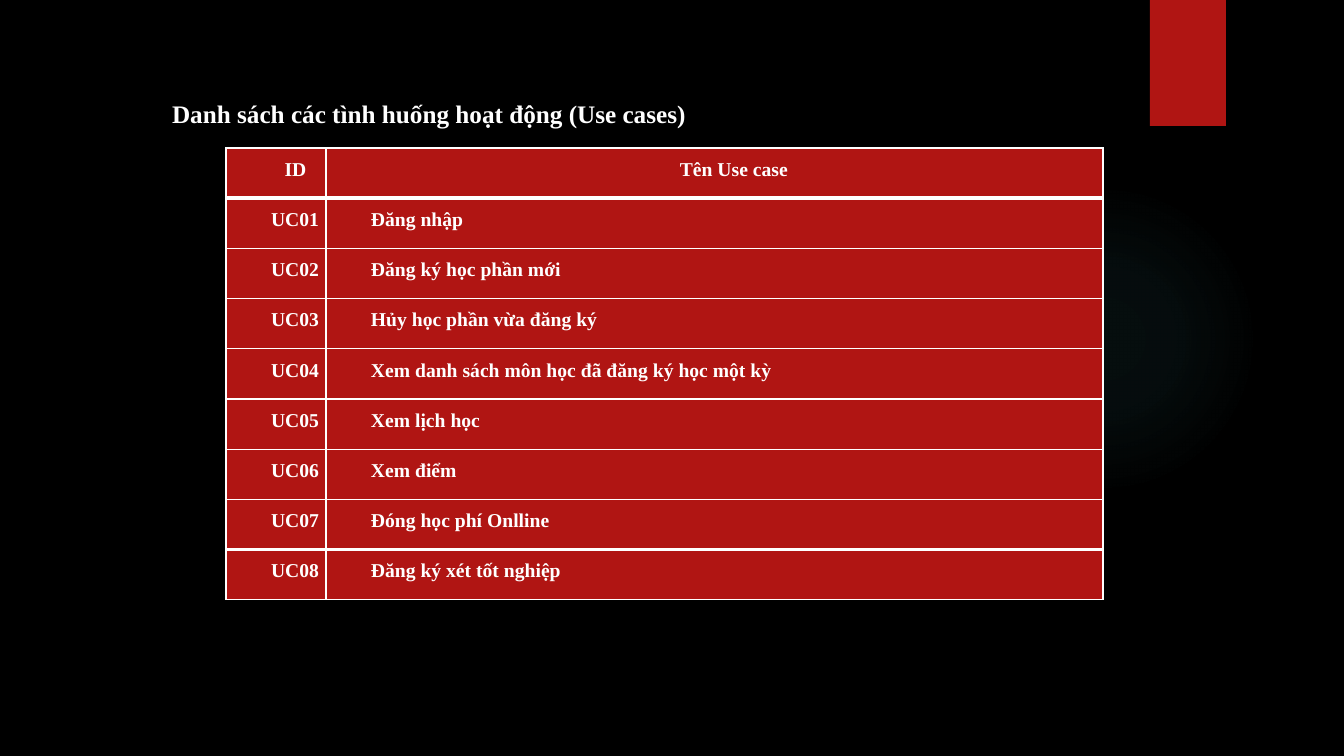
from lxml.etree import SubElement
from pptx import Presentation
from pptx.dml.color import RGBColor
from pptx.enum.shapes import MSO_SHAPE
from pptx.enum.text import MSO_ANCHOR, PP_ALIGN
from pptx.oxml import parse_xml
from pptx.oxml.ns import nsdecls, qn
from pptx.util import Pt

# Content
TITLE = "Danh sách các tình huống hoạt động (Use cases)"
HEADER = ("ID", "Tên Use case")
USE_CASES = [
    "Đăng nhập",
    "Đăng ký học phần mới",
    "Hủy học phần vừa đăng ký",
    "Xem danh sách môn học đã đăng ký học một kỳ",
    "Xem lịch học",
    "Xem điểm",
    "Đóng học phí Onlline",
    "Đăng ký xét tốt nghiệp",
]
ROWS = [HEADER] + [(f"UC{n:02}", name) for n, name in enumerate(USE_CASES, 1)]

# Format
BLACK = RGBColor(0x00, 0x00, 0x00)
WHITE = RGBColor(0xFF, 0xFF, 0xFF)
RED = RGBColor(0xB0, 0x15, 0x13)
TEAL = RGBColor(0x50, 0xB9, 0xC1)
FONT = {"name": "Times New Roman", "bold": True}
TITLE_PARA = {"alignment": PP_ALIGN.LEFT, "line_spacing": 1.5}
CELL_PARA = {"line_spacing": 1.5, "space_before": Pt(3), "space_after": Pt(6)}
GLOW_STOPS = [(0, 7), (36, 6), (69, 0)]  # position %, opacity %
THIN, THICK = Pt(1), Pt(3)

# Layout in px
SLIDE_W, SLIDE_H = 1344, 756
GLOW = (949, 184, 310, 310)
TAB = (1150, 0, 76, 126)
TITLE_BOX = (61, 78, 672, 50)
TITLE_INDENT = 101
TABLE = (226, 148, 877, 452)
COLS = (100, 777)
CELL_INDENT, CELL_MARGIN = 39, 6


def px(n):
    return round(n * 914400 / 100.8)


def set_attrs(obj, values):
    for name, value in values.items():
        setattr(obj, name, value)


def write(p, text, size, para):
    set_attrs(p, para)
    r = p.add_run()
    r.text = text
    set_attrs(r.font, {**FONT, "size": Pt(size)})
    r.font.color.rgb = WHITE


def add_plain(slide, kind, box):
    sp = slide.shapes.add_shape(kind, *map(px, box))
    sp.shadow.inherit = False
    sp.line.fill.background()
    sp.fill.solid()
    sp.fill.fore_color.rgb = RED
    return sp


def set_glow(sp):
    stops = "".join(
        f'<a:gs pos="{pos * 1000}"><a:srgbClr val="{TEAL}">'
        f'<a:alpha val="{alpha * 1000}"/></a:srgbClr></a:gs>'
        for pos, alpha in GLOW_STOPS)
    grad = parse_xml(
        f'<a:gradFill {nsdecls("a")}><a:gsLst>{stops}</a:gsLst><a:path path="circle">'
        '<a:fillToRect l="50000" t="50000" r="50000" b="50000"/></a:path></a:gradFill>')
    solid = sp._element.spPr.find(qn("a:solidFill"))
    solid.getparent().replace(solid, grad)


def set_borders(cell, top, bottom):
    tcPr = cell._tc.get_or_add_tcPr()
    for side, width in zip("LRTB", (THIN, THIN, top, bottom)):
        ln = SubElement(tcPr, qn(f"a:ln{side}"), w=str(width))
        SubElement(SubElement(ln, qn("a:solidFill")), qn("a:srgbClr"), val=str(WHITE))


def add_use_case_table(slide):
    table = slide.shapes.add_table(len(ROWS), len(COLS), *map(px, TABLE)).table
    for col, width in zip(table.columns, COLS):
        col.width = px(width)
    # Thick rules under the header and above the last row
    rules = [THIN] * (len(ROWS) + 1)
    rules[1] = rules[-2] = THICK
    margins = {"margin_left": px(CELL_MARGIN), "margin_right": px(CELL_MARGIN),
               "margin_top": 0, "margin_bottom": 0}
    for i, row in enumerate(ROWS):
        table.rows[i].height = px(TABLE[3] / len(ROWS))
        align = PP_ALIGN.LEFT if i else PP_ALIGN.CENTER
        for j, text in enumerate(row):
            cell = table.cell(i, j)
            set_attrs(cell, margins)
            set_borders(cell, rules[i], rules[i + 1])
            cell.fill.solid()
            cell.fill.fore_color.rgb = RED
            p = cell.text_frame.paragraphs[0]
            write(p, text, 14, {**CELL_PARA, "alignment": align})
            p._p.get_or_add_pPr().set("indent", str(px(CELL_INDENT)))


def main():
    prs = Presentation()
    prs.slide_width, prs.slide_height = px(SLIDE_W), px(SLIDE_H)
    slide = prs.slides.add_slide(prs.slide_layouts[5])
    slide.background.fill.solid()
    slide.background.fill.fore_color.rgb = BLACK

    # Backdrop
    set_glow(add_plain(slide, MSO_SHAPE.OVAL, GLOW))
    add_plain(slide, MSO_SHAPE.RECTANGLE, TAB)

    # Title
    title = slide.shapes.title
    set_attrs(title, dict(zip(("left", "top", "width", "height"), map(px, TITLE_BOX))))
    tf = title.text_frame
    set_attrs(tf, {"word_wrap": True, "vertical_anchor": MSO_ANCHOR.TOP})
    p = tf.paragraphs[0]
    write(p, TITLE, 18, TITLE_PARA)
    p._p.get_or_add_pPr().set("marL", str(px(TITLE_INDENT)))

    # Table
    add_use_case_table(slide)
    prs.save("out.pptx")


if __name__ == "__main__":
    main()
